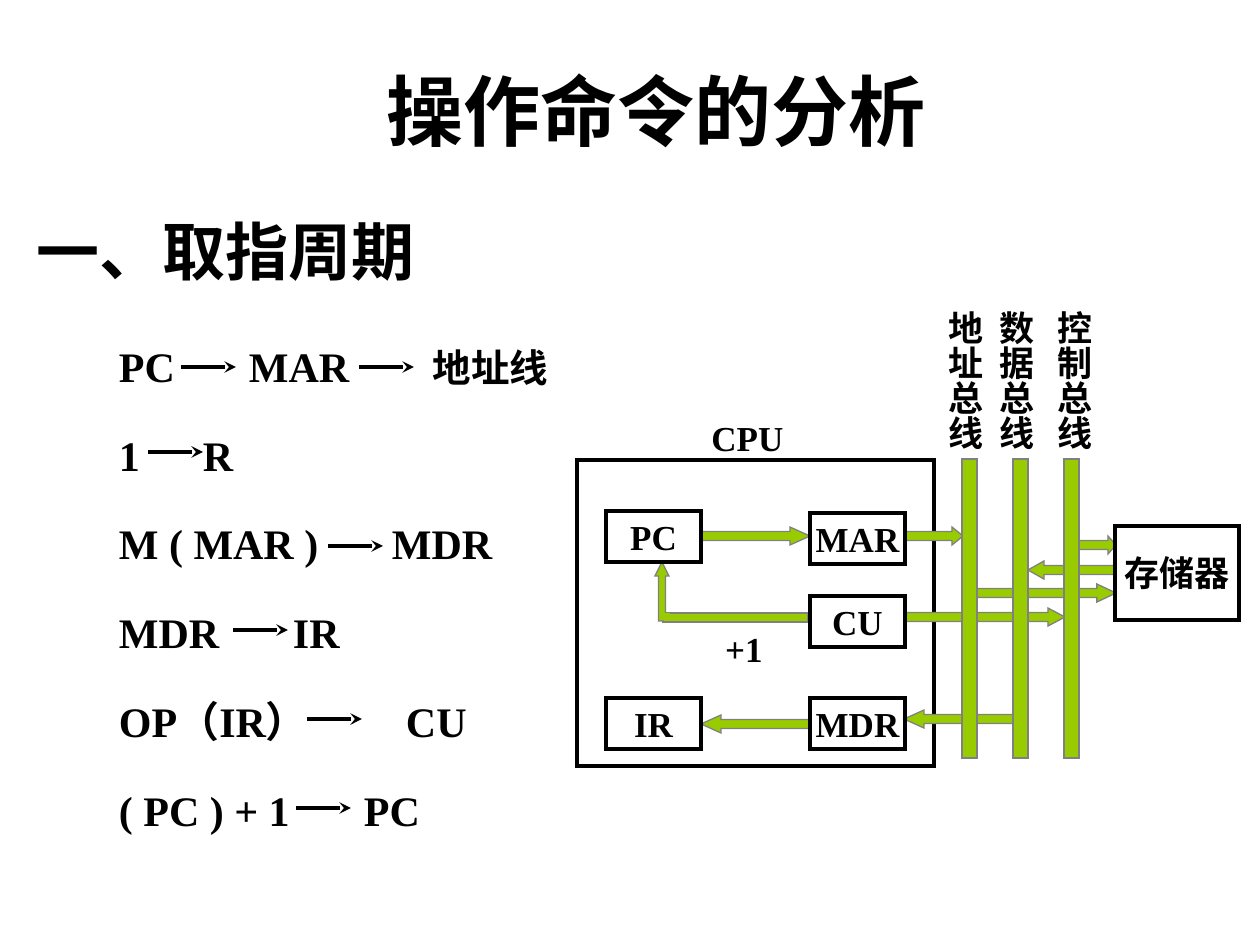
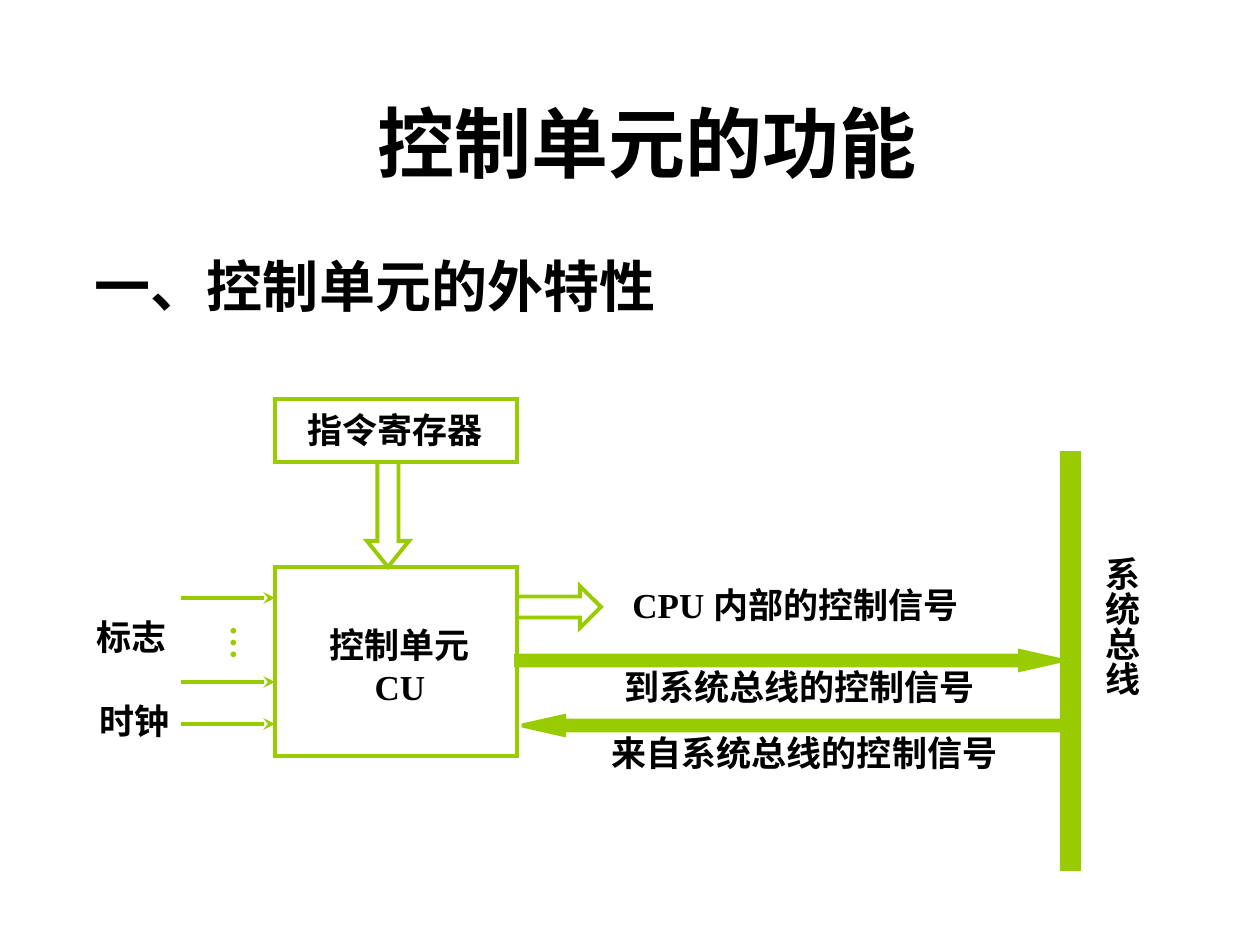
"""Builds two slides on CPU operation commands and the control unit."""
import dataclasses
import pptx
import pptx.dml.color
import pptx.enum.shapes
import pptx.enum.text
import pptx.oxml.ns
import pptx.util
from lxml import etree

KIND = pptx.enum.shapes.MSO_SHAPE
ALIGN = pptx.enum.text.PP_ALIGN
ANCHOR = pptx.enum.text.MSO_ANCHOR
PX = 914400 / 126


@dataclasses.dataclass(frozen=True)
class Theme:
    ink: str = "000000"
    green: str = "99CC00"
    edge: str = "808080"
    body_font: str = "Times New Roman"
    title_font: str = "Arial"
    title: int = 44
    step: int = 24
    step_note: int = 22
    label: int = 20
    heavy: float = 2.25
    fine: float = 0.75


THEME = Theme()

FETCH = {
    "title": ("操作命令的分析", (121, 31, 1071, 157)),
    "heading": ("一、取指周期", (37, 221, 595, 59), 36),
    "steps": [
        ([("PC\tMAR\t", THEME.step), ("地址线", THEME.step_note)], (130, 314), (181, 359), 367),
        ("1\tR", (84,), (148,), 452),
        ("M ( MAR )\tMDR", (273,), (328,), 546),
        ("MDR\tIR", (174,), (233,), 630),
        ("OP（IR）\tCU", (287,), (307,), 719),
        ("( PC ) + 1\tPC", (245,), (296,), 808),
    ],
    "cpu": (577, 460, 357, 306),
    "flows": [
        (KIND.RIGHT_ARROW, (905, 527, 58, 18), 11),
        (KIND.RECTANGLE, (663, 613, 145, 9), None),
        (KIND.UP_ARROW, (655, 562, 14, 59), 14),
        (KIND.RIGHT_ARROW, (701, 527, 109, 18), 20),
        (KIND.LEFT_ARROW, (904, 710, 110, 18), 20),
        (KIND.RIGHT_ARROW, (905, 608, 160, 18), 17),
        (KIND.RIGHT_ARROW, (977, 584, 139, 18), 19),
        (KIND.LEFT_ARROW, (1028, 561, 87, 18), 16),
        (KIND.RIGHT_ARROW, (1072, 536, 44, 18), 8),
        (KIND.LEFT_ARROW, (701, 715, 108, 18), 20),
    ],
    "elbow": (665, 614, 4, 6),
    "registers": [("PC", 606, 511), ("MAR", 810, 513), ("CU", 810, 596),
                  ("IR", 606, 698), ("MDR", 810, 698)],
    "memory": ("存储器", (1115, 526, 124, 94)),
    "labels": [("CPU", (699, 410, 97, 55)), ("+1", (713, 621, 62, 55))],
    "buses": [("地址总线", 925), ("数据总线", 976), ("控制总线", 1034)],
}

CONTROL = {
    "title": ("控制单元的功能", (112, 63, 1071, 157)),
    "heading": ("一、控制单元的外特性", (95, 256, 595, 59), 32),
    "blocks": [(275, 399, 242, 63), (275, 567, 242, 189)],
    "open_flows": [(KIND.DOWN_ARROW, (367, 462, 42, 105), 26),
                   (KIND.RIGHT_ARROW, (517, 586, 84, 42), 21)],
    "solid_flows": [(KIND.RIGHT_ARROW, (516, 651, 546, 19), 42),
                    (KIND.LEFT_ARROW, (522, 716, 546, 19), 42)],
    "inputs": [598, 682, 724],
    "labels": [
        ("指令寄存器", (295, 402, 200, 55)),
        ("控制单元\nCU", (318, 617, 164, 97)),
        ("标志", (84, 609, 95, 55)),
        ("时钟", (87, 693, 95, 55)),
        ("CPU 内部的控制信号", (616, 577, 359, 55)),
        ("到系统总线的控制信号", (612, 659, 375, 55)),
        ("来自系统总线的控制信号", (599, 725, 411, 55)),
    ],
    "bus": ("系统总线", (1082, 544, 67, 154), (1060, 451, 21, 420)),
    "ellipsis": ("…", (205, 613, 67, 48)),
}


def emu(*lengths):
    return [pptx.util.Emu(round(length * PX)) for length in lengths]


def rgb(color):
    return pptx.dml.color.RGBColor.from_string(color)


def write(shape, text, size=THEME.label, font=THEME.body_font, color=THEME.ink,
          align=ALIGN.CENTER, anchor=ANCHOR.MIDDLE, inset=(0, 0),
          vertical=False, tabs=()):
    """Fill a shape with text, given as a string or as (text, size) runs."""
    frame = shape.text_frame
    frame.word_wrap = not vertical
    frame.vertical_anchor = anchor
    frame.margin_left = frame.margin_right = emu(inset[0])[0]
    frame.margin_top = frame.margin_bottom = emu(inset[1])[0]
    if vertical:
        shape.element.txBody.bodyPr.set("vert", "eaVert")
    lines = [[(line, size)] for line in text.split("\n")] if isinstance(text, str) else [text]
    for number, line in enumerate(lines):
        paragraph = frame.add_paragraph() if number else frame.paragraphs[0]
        paragraph.alignment = align
        if tabs:
            tab_list = etree.SubElement(paragraph._p.get_or_add_pPr(), pptx.oxml.ns.qn("a:tabLst"))
            for stop in emu(*tabs):
                etree.SubElement(tab_list, pptx.oxml.ns.qn("a:tab"), pos=str(int(stop)), algn="l")
        for words, points in line:
            run = paragraph.add_run()
            run.text = words
            run.font.size = pptx.util.Pt(points)
            run.font.name = font
            run.font.bold = True
            run.font.color.rgb = rgb(color)


def label(slide, text, box, **style):
    write(slide.shapes.add_textbox(*emu(*box)), text, **style)


def vertical_label(slide, text, box, **style):
    label(slide, text, box, vertical=True, anchor=ANCHOR.TOP, inset=(6, 13), **style)


def draw(slide, kind, box, head=None, fill=None, line=None, weight=THEME.heavy, shaft=0.5):
    shape = slide.shapes.add_shape(kind, *emu(*box))
    shape.shadow.inherit = False
    if head:
        shape.adjustments[0] = shaft
        shape.adjustments[1] = head / min(box[2:])
    if fill:
        shape.fill.solid()
        shape.fill.fore_color.rgb = rgb(fill)
    else:
        shape.fill.background()
    if line:
        shape.line.color.rgb = rgb(line)
        shape.line.width = pptx.util.Pt(weight)
        etree.SubElement(shape.line._get_or_add_ln(), pptx.oxml.ns.qn("a:miter"), lim="800000")
    else:
        shape.line.fill.background()
    return shape


def block(slide, text, box):
    write(draw(slide, KIND.RECTANGLE, box, line=THEME.ink), text)


def pointer(slide, x, y, length, color):
    arrow = slide.shapes.add_connector(
        pptx.enum.shapes.MSO_CONNECTOR.STRAIGHT, *emu(x, y, x + length, y))
    arrow.line.color.rgb = rgb(color)
    arrow.line.width = pptx.util.Pt(THEME.heavy)
    etree.SubElement(arrow.line._get_or_add_ln(), pptx.oxml.ns.qn("a:tailEnd"), type="stealth")
    etree.SubElement(arrow.element.spPr, pptx.oxml.ns.qn("a:effectLst"))


def start_slide(deck, content):
    slide = deck.slides.add_slide(deck.slide_layouts[6])
    title, title_box = content["title"]
    label(slide, title, title_box, size=THEME.title, font=THEME.title_font)
    heading, heading_box, size = content["heading"]
    label(slide, heading, heading_box, size=size, align=ALIGN.LEFT)
    return slide


def build_fetch(deck):
    slide = start_slide(deck, FETCH)
    for row, (step, tabs, starts, y) in enumerate(FETCH["steps"]):
        label(slide, step, (119, 336 + row * 88.8, 595, 59), size=THEME.step,
              align=ALIGN.LEFT, tabs=tabs)
        for x in starts:
            pointer(slide, x, y, 55, THEME.ink)
    draw(slide, KIND.RECTANGLE, FETCH["cpu"], line=THEME.ink)
    bus_style = dict(fill=THEME.green, line=THEME.edge, weight=THEME.fine)
    for kind, box, head in FETCH["flows"]:
        draw(slide, kind, box, head, **bus_style)
    draw(slide, KIND.RECTANGLE, FETCH["elbow"], fill=THEME.green, line=THEME.green,
         weight=THEME.fine)
    for column, (name, x) in enumerate(FETCH["buses"]):
        draw(slide, KIND.RECTANGLE, (962 + column * 51, 459, 15, 299), **bus_style)
        vertical_label(slide, name, (x, 298, 67, 154))
    for name, x, y in FETCH["registers"]:
        block(slide, name, (x, y, 95, 51))
    block(slide, *FETCH["memory"])
    for text, box in FETCH["labels"]:
        label(slide, text, box)


def build_control(deck):
    slide = start_slide(deck, CONTROL)
    for box in CONTROL["blocks"]:
        draw(slide, KIND.RECTANGLE, box, line=THEME.green)
    for flow in CONTROL["open_flows"]:
        draw(slide, *flow, line=THEME.green)
    for flow in CONTROL["solid_flows"]:
        draw(slide, *flow, fill=THEME.green, line=THEME.green, shaft=0.52)
    for y in CONTROL["inputs"]:
        pointer(slide, 181, y, 94, THEME.green)
    for text, box in CONTROL["labels"]:
        label(slide, text, box)
    vertical_label(slide, *CONTROL["ellipsis"], color=THEME.green)
    name, name_box, bar = CONTROL["bus"]
    vertical_label(slide, name, name_box)
    draw(slide, KIND.RECTANGLE, bar, fill=THEME.green)


def main():
    deck = pptx.Presentation()
    deck.slide_width, deck.slide_height = emu(1260, 945)
    build_fetch(deck)
    build_control(deck)
    deck.save("out.pptx")


if __name__ == "__main__":
    main()
